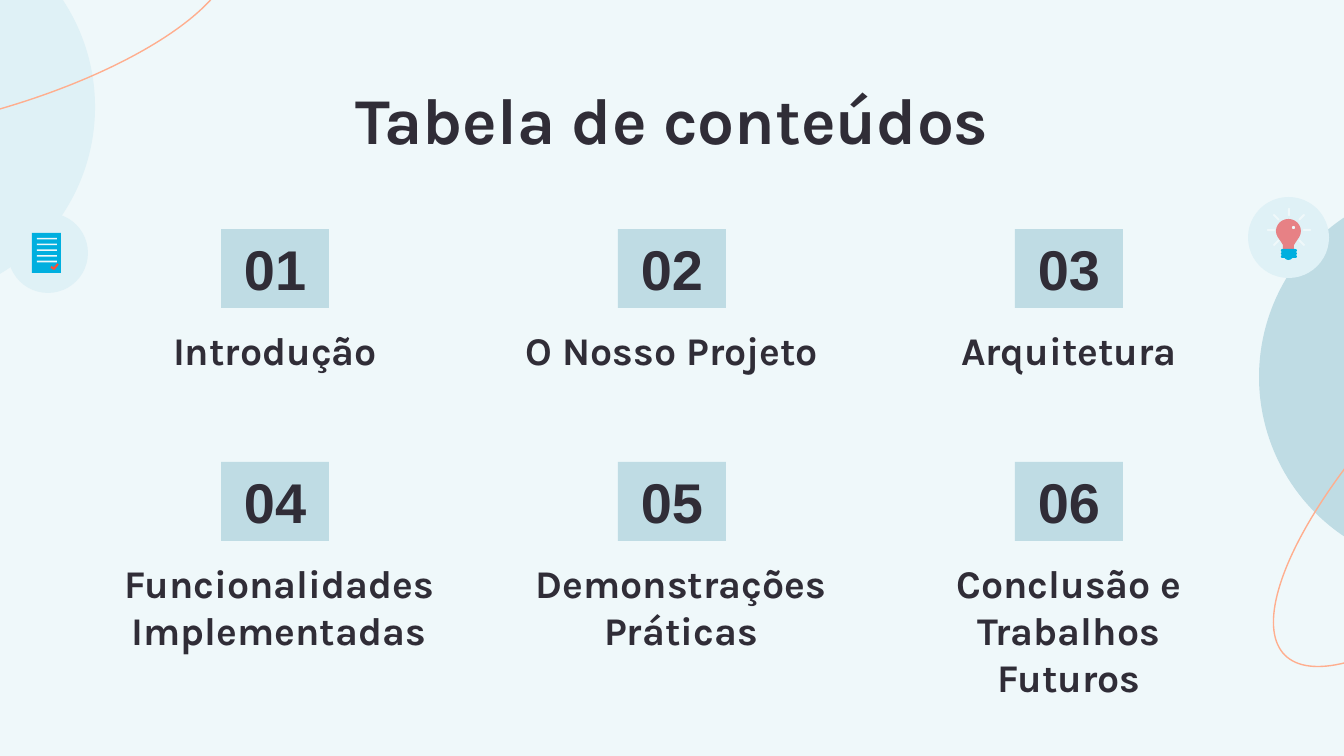
from math import cos, radians, sin

from pptx import Presentation
from pptx.dml.color import RGBColor
from pptx.enum.shapes import MSO_SHAPE
from pptx.enum.text import MSO_ANCHOR, PP_ALIGN
from pptx.util import Pt

PX = 914400 / 134.4
BACKGROUND = RGBColor(0xEF, 0xF8, 0xFA)
PALE_BLUE = RGBColor(0xDF, 0xF1, 0xF6)
SOFT_BLUE = RGBColor(0xBF, 0xDC, 0xE4)
CYAN = RGBColor(0x00, 0xAF, 0xDF)
PINK = RGBColor(0xE7, 0x81, 0x85)
RED = RGBColor(0xFF, 0x4C, 0x37)
PEACH = RGBColor(0xFF, 0xAE, 0x8E)
INK = RGBColor(0x30, 0x2D, 0x37)

TITLE = "Tabela de conteúdos"
# fmt: topic, centre of its label, width of its label
TOPICS = [
    ("Introdução", 275, 339),
    ("O Nosso Projeto", 672, 417),
    ("Arquitetura", 1069, 339),
    ("Funcionalidades Implementadas", 279, 370),
    ("Demonstrações Práticas", 681, 356),
    ("Conclusão e Trabalhos Futuros", 1069, 356),
]
COLUMNS = 3
FIRST_CENTRE, COLUMN_STEP = 275, 397
FIRST_TOP, ROW_STEP = 229, 233
BADGE_WIDTH, BADGE_HEIGHT = 108, 79
LABEL_DROP, LABEL_HEIGHT = 84, 70

LARGE_CIRCLES = [(1259, 185, 384, SOFT_BLUE), (-293, -87, 388, PALE_BLUE)]
ICON_CIRCLES = [(8, 213, 80, PALE_BLUE), (1248, 197, 81, PALE_BLUE)]
ORBITS = [(1202, 358, 315), (-325, -77, 345)]
BULB_X, BULB_Y = 1289, 230
BULB_NECK = [(1278, 237), (1299, 237), (1294, 245), (1294, 254), (1283, 254), (1283, 245)]
CHECK_MARK = [(51, 267), (54, 269), (58, 264)]


def px(length):
    """Turn px into EMU."""
    return round(length * PX)


def paint(shape, fill, line, line_width):
    """Set the fill and outline of a shape."""
    shape.shadow.inherit = False
    if fill is None:
        shape.fill.background()
    else:
        shape.fill.solid()
        shape.fill.fore_color.rgb = fill
    if line is None:
        shape.line.fill.background()
    else:
        shape.line.color.rgb = line
        shape.line.width = Pt(line_width)
    return shape


def add_preset(slide, kind, left, top, width, height, fill=None, line=None, line_width=0.75, rotation=0):
    """Add a preset shape measured in px."""
    shape = slide.shapes.add_shape(kind, px(left), px(top), px(width), px(height))
    shape.rotation = rotation
    return paint(shape, fill, line, line_width)


def add_outline(slide, points, closed=True, fill=None, line=None, line_width=0.75):
    """Add a freeform through points in px."""
    builder = slide.shapes.build_freeform(*points[0], scale=PX)
    builder.add_line_segments(points[1:], close=closed)
    return paint(builder.convert_to_shape(), fill, line, line_width)


def write(shape, text, size, font="Karla", anchor=MSO_ANCHOR.TOP):
    """Write bold centred text in a shape."""
    frame = shape.text_frame
    frame.word_wrap = True
    frame.vertical_anchor = anchor
    frame.margin_left = frame.margin_right = frame.margin_top = frame.margin_bottom = px(13)
    paragraph = frame.paragraphs[0]
    paragraph.alignment = PP_ALIGN.CENTER
    run = paragraph.add_run()
    run.text = text
    run.font.name = font
    run.font.size = Pt(size)
    run.font.bold = True
    run.font.color.rgb = INK


def add_label(slide, text, left, top, width, height, size):
    """Add a text box measured in px."""
    write(slide.shapes.add_textbox(px(left), px(top), px(width), px(height)), text, size)


def draw_document(slide):
    """Draw the document icon."""
    add_preset(slide, MSO_SHAPE.RECTANGLE, 32, 233, 29, 40, CYAN)
    for index in range(5):
        add_preset(slide, MSO_SHAPE.RECTANGLE, 37, 238 + 5.7 * index, 20, 1.6, BACKGROUND)
    add_outline(slide, CHECK_MARK, closed=False, line=RED, line_width=1.16)


def draw_bulb(slide):
    """Draw the light bulb icon and its rays."""
    add_preset(slide, MSO_SHAPE.OVAL, BULB_X - 13, 219, 25, 24, PINK)
    add_outline(slide, BULB_NECK, fill=PINK)
    add_preset(slide, MSO_SHAPE.OVAL, BULB_X - 5, 252, 9, 8, CYAN)
    for index in range(3):
        stripe = add_preset(slide, MSO_SHAPE.ROUNDED_RECTANGLE, BULB_X - 8, 249 + 3 * index, 16, 3, CYAN)
        stripe.adjustments[0] = 0.5
    add_preset(slide, MSO_SHAPE.OVAL, 1292, 226, 3, 3, BACKGROUND)
    for angle in range(-135, 136, 45):
        x = BULB_X + 18 * sin(radians(angle))
        y = BULB_Y - 18 * cos(radians(angle))
        ray = add_preset(slide, MSO_SHAPE.ROUNDED_RECTANGLE, x - 1, y - 4, 2, 8, BACKGROUND, rotation=angle)
        ray.adjustments[0] = 0.5


def draw_topics(slide):
    """Draw the numbered badges and their labels."""
    for index, (topic, centre, width) in enumerate(TOPICS):
        row, column = divmod(index, COLUMNS)
        left = FIRST_CENTRE + column * COLUMN_STEP - BADGE_WIDTH / 2
        top = FIRST_TOP + row * ROW_STEP
        badge = add_preset(slide, MSO_SHAPE.RECTANGLE, left, top, BADGE_WIDTH, BADGE_HEIGHT, SOFT_BLUE)
        write(badge, f"{index + 1:02}", 30, font="Arial", anchor=MSO_ANCHOR.MIDDLE)
        add_label(slide, topic, centre - width / 2, top + LABEL_DROP, width, LABEL_HEIGHT, 21)


def main():
    """Build the table of contents slide."""
    presentation = Presentation()
    presentation.slide_width, presentation.slide_height = px(1344), px(756)
    slide = presentation.slides.add_slide(presentation.slide_layouts[6])
    slide.background.fill.solid()
    slide.background.fill.fore_color.rgb = BACKGROUND
    for left, top, diameter, color in LARGE_CIRCLES + ICON_CIRCLES:
        add_preset(slide, MSO_SHAPE.OVAL, left, top, diameter, diameter, color)
    draw_document(slide)
    draw_bulb(slide)
    for left, top, rotation in ORBITS:
        add_preset(slide, MSO_SHAPE.OVAL, left, top, 566, 194, line=PEACH, rotation=rotation)
    add_label(slide, TITLE, 106, 66, 1133, 85, 35)
    draw_topics(slide)
    presentation.save("out.pptx")


if __name__ == "__main__":
    main()
